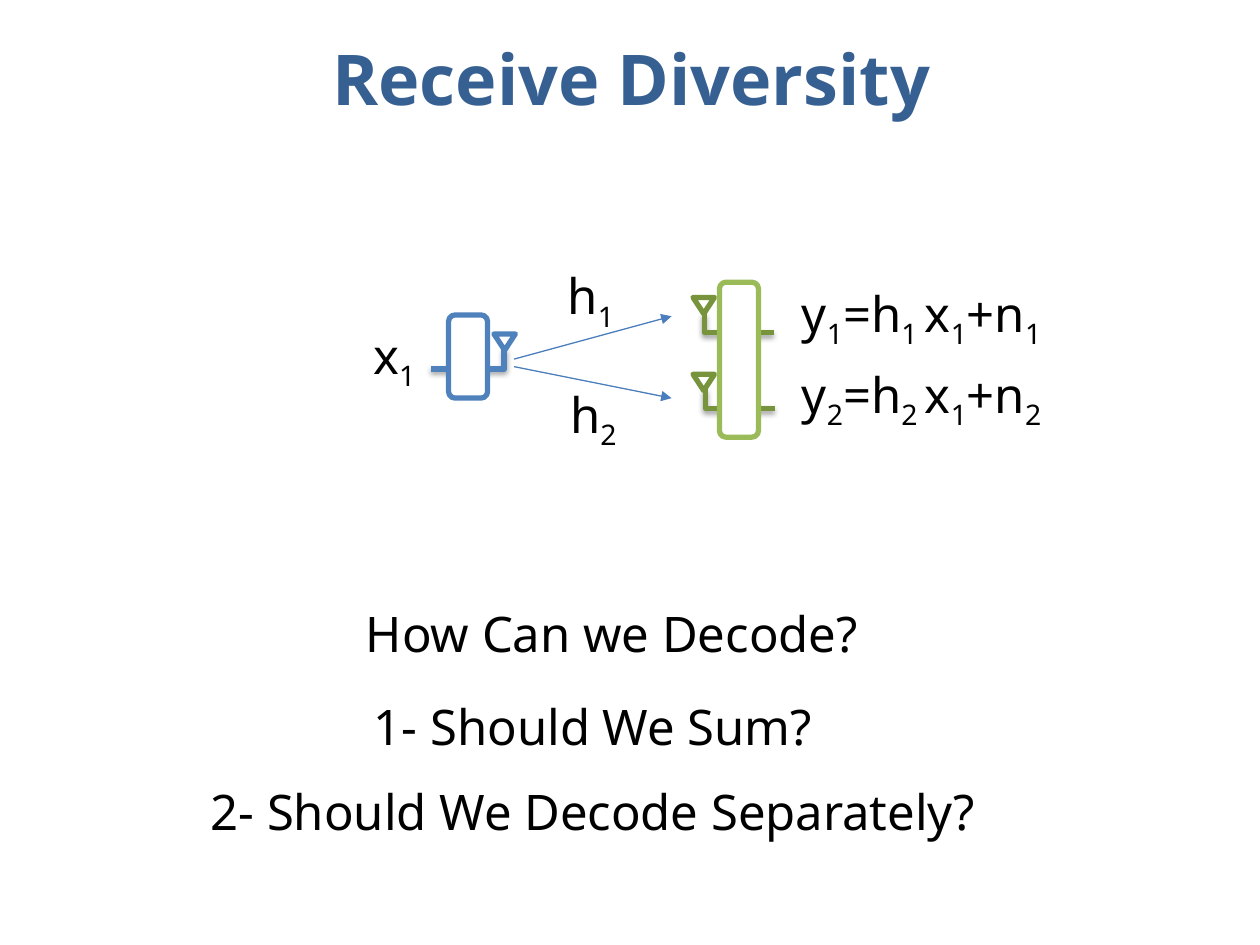
from dataclasses import dataclass

import pptx
import pptx.dml.color
import pptx.enum.shapes
import pptx.enum.text
import pptx.oxml
import pptx.oxml.ns
import pptx.util
from pptx.util import Inches

RGBColor = pptx.dml.color.RGBColor
TITLE_BLUE = RGBColor(0x37, 0x60, 0x92)
BLUE = RGBColor(0x4F, 0x81, 0xBD)
ARROW_BLUE = RGBColor(0x4B, 0x7E, 0xBC)
DARK_GREEN = RGBColor(0x77, 0x93, 0x3C)
GREEN = RGBColor(0x9B, 0xBB, 0x59)
WHITE = RGBColor(0xFF, 0xFF, 0xFF)
BLACK = RGBColor(0x00, 0x00, 0x00)

FONT = "Noto Sans"
SHAPES = pptx.enum.shapes.MSO_SHAPE
CONNECTORS = pptx.enum.shapes.MSO_CONNECTOR
NAMESPACE = pptx.oxml.ns.nsdecls("a")
NO_EFFECT = f"<a:effectLst {NAMESPACE}/>"
SOFT_SHADOW = (
    f'<a:effectLst {NAMESPACE}><a:outerShdw blurRad="40000" dist="20000" dir="5400000" '
    'rotWithShape="0"><a:srgbClr val="000000"><a:alpha val="38000"/></a:srgbClr>'
    "</a:outerShdw></a:effectLst>"
)
ARROWHEAD = f'<a:tailEnd {NAMESPACE} type="triangle"/>'


@dataclass
class Label:
    text: str  # every second part between bars is a subscript
    left: float
    top: float
    width: float
    height: float = 0.63


@dataclass
class Antenna:
    feed: tuple[float, float]
    tip: tuple[float, float]
    head: tuple[float, float]
    color: RGBColor


@dataclass
class Station:
    left: float
    top: float
    height: float
    color: RGBColor
    antennas: list[Antenna]


STATIONS = [
    Station(3.56, 2.5, 0.66, BLUE, [Antenna((3.42, 2.93), (4, 2.77), (3.92, 2.65), BLUE)]),
    Station(5.71, 2.24, 1.23, GREEN, [
        Antenna((6.14, 2.64), (5.59, 2.49), (5.5, 2.36), DARK_GREEN),
        Antenna((6.15, 3.24), (5.6, 3.09), (5.5, 2.97), DARK_GREEN),
    ]),
]
CHANNELS = [((4.08, 2.85), (5.33, 2.51)), ((4.08, 2.91), (5.33, 3.16))]
LABELS = [
    Label("How Can we Decode?", -0.18, 4.73, 10.07, 1.33),
    Label("1- Should We Sum?", -0.33, 5.47, 10.07, 0.59),
    Label("2- Should We Decode Separately?", -0.33, 6.14, 10.07, 0.59),
    Label("y|1|=h|1 |x|1|+n|1", 5.63, 2.19, 3.37),
    Label("y|2|=h|2 |x|1|+n|2", 5.63, 2.83, 3.37),
    Label("h|1", 3.84, 2.05, 1.7),
    Label("h|2", 3.86, 2.99, 1.7),
    Label("x|1", 1.86, 2.52, 2.54),
]


def format_run(run, size: float, color: RGBColor, bold: bool = False) -> None:
    values = {"name": FONT, "size": pptx.util.Pt(size), "bold": bold}
    for name, value in values.items():
        setattr(run.font, name, value)
    run.font.color.rgb = color


def add_title(slide, text: str) -> None:
    title = slide.shapes.title
    box = {"left": 0.02, "top": 0, "width": 9.98, "height": 1.23}
    for name, value in box.items():
        setattr(title, name, Inches(value))
    title.text_frame.vertical_anchor = pptx.enum.text.MSO_ANCHOR.MIDDLE
    paragraph = title.text_frame.paragraphs[0]
    paragraph.alignment = pptx.enum.text.PP_ALIGN.CENTER
    run = paragraph.add_run()
    run.text = text
    format_run(run, 40, TITLE_BLUE, bold=True)


def add_label(slide, label: Label) -> None:
    box = slide.shapes.add_textbox(
        Inches(label.left), Inches(label.top), Inches(label.width), Inches(label.height)
    )
    frame = box.text_frame
    frame.word_wrap = True
    margins = {"margin_left": 0.11, "margin_top": 0.06, "margin_right": 0.11, "margin_bottom": 0.06}
    for name, value in margins.items():
        setattr(frame, name, Inches(value))
    paragraph = frame.paragraphs[0]
    paragraph.alignment = pptx.enum.text.PP_ALIGN.CENTER
    paragraph.space_before = pptx.util.Pt(5.6)
    for index, part in enumerate(label.text.split("|")):
        run = paragraph.add_run()
        run.text = part
        format_run(run, 28, BLACK)
        if index % 2:
            run.font._element.set("baseline", "-25000")


def add_line(slide, kind, start, end, color: RGBColor, width: float, effect: str):
    line = slide.shapes.add_connector(kind, *(Inches(value) for value in (*start, *end)))
    line.line.color.rgb = color
    line.line.width = pptx.util.Pt(width)
    line._element.spPr.append(pptx.oxml.parse_xml(effect))
    return line


def add_outline(slide, kind, left: float, top: float, width: float, height: float, color: RGBColor):
    """Add a white shape with a thick coloured line."""
    shape = slide.shapes.add_shape(kind, Inches(left), Inches(top), Inches(width), Inches(height))
    shape.shadow.inherit = False
    shape.fill.solid()
    shape.fill.fore_color.rgb = WHITE
    shape.line.color.rgb = color
    shape.line.width = pptx.util.Pt(3)
    return shape


def add_antenna(slide, antenna: Antenna) -> None:
    feed = add_line(
        slide, CONNECTORS.ELBOW, antenna.feed, antenna.tip, antenna.color, 3, SOFT_SHADOW
    )
    # A single bend: along the feed, then up to the antenna head
    feed._element.spPr.find(pptx.oxml.ns.qn("a:prstGeom")).set("prst", "bentConnector2")
    head = add_outline(slide, SHAPES.ISOSCELES_TRIANGLE, *antenna.head, 0.17, 0.13, antenna.color)
    head.rotation = 180


def add_station(slide, station: Station) -> None:
    for antenna in station.antennas:
        add_antenna(slide, antenna)
    add_outline(
        slide, SHAPES.ROUNDED_RECTANGLE,
        station.left, station.top, 0.31, station.height, station.color,
    )


def add_channel(slide, start: tuple[float, float], end: tuple[float, float]) -> None:
    arrow = add_line(slide, CONNECTORS.STRAIGHT, start, end, ARROW_BLUE, 0.75, NO_EFFECT)
    arrow.line._get_or_add_ln().append(pptx.oxml.parse_xml(ARROWHEAD))


def main() -> None:
    presentation = pptx.Presentation()
    presentation.slide_width = Inches(10)
    presentation.slide_height = Inches(7.5)
    slide = presentation.slides.add_slide(presentation.slide_layouts.get_by_name("Title Only"))
    add_title(slide, "Receive Diversity")
    for station in STATIONS:
        add_station(slide, station)
    for start, end in CHANNELS:
        add_channel(slide, start, end)
    for label in LABELS:
        add_label(slide, label)
    presentation.save("out.pptx")


if __name__ == "__main__":
    main()
